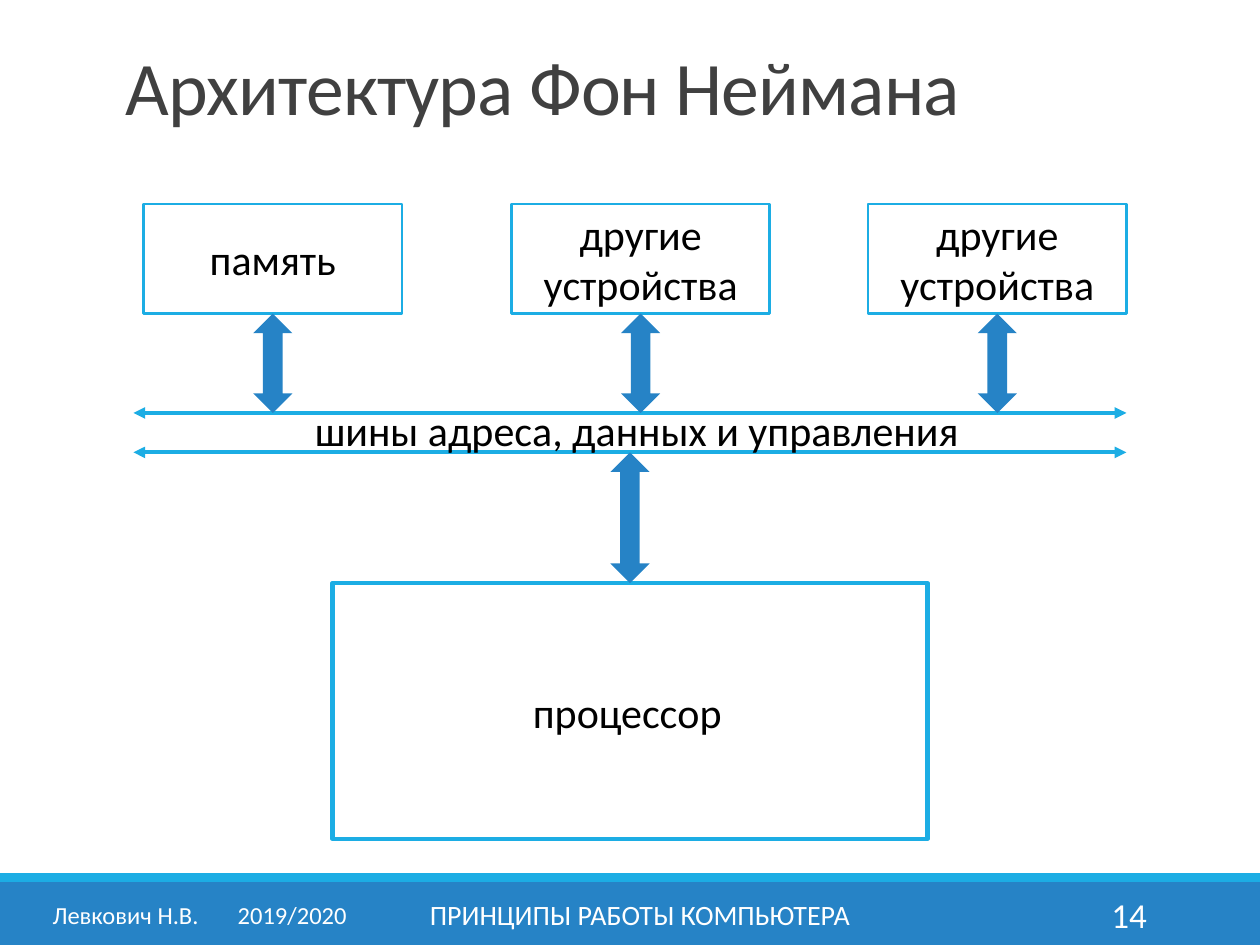
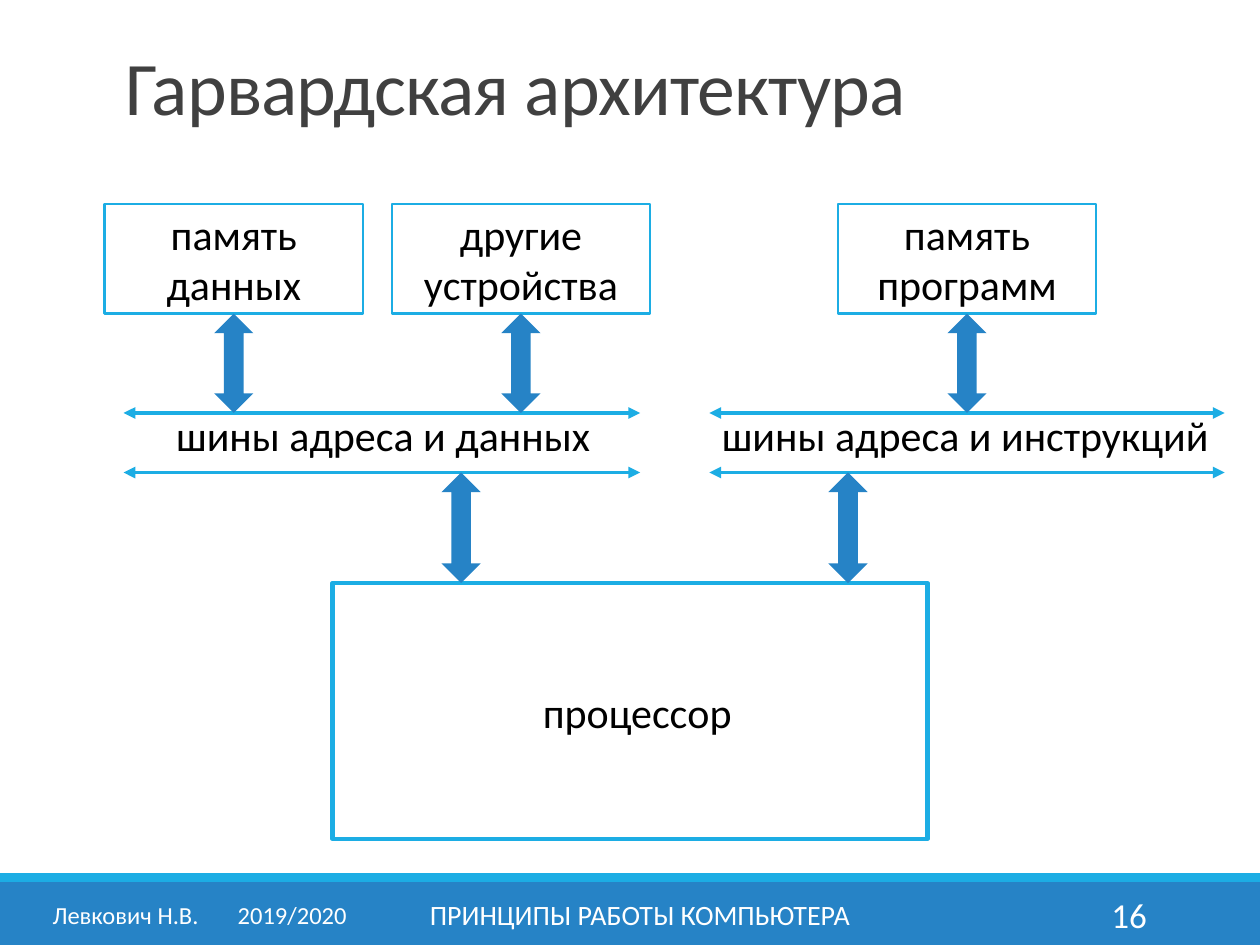
import pptx
import pptx.dml.color
import pptx.enum.shapes
import pptx.enum.text
import pptx.oxml
import pptx.oxml.ns
import pptx.util
from lxml import etree

Pt = pptx.util.Pt
RGBColor = pptx.dml.color.RGBColor
SHAPE = pptx.enum.shapes.MSO_SHAPE
ALIGN = pptx.enum.text.PP_ALIGN
ANCHOR = pptx.enum.text.MSO_ANCHOR
FIT = pptx.enum.text.MSO_AUTO_SIZE

# Colours
BLUE = RGBColor(0x26, 0x83, 0xC6)
CYAN = RGBColor(0x1C, 0xAD, 0xE4)
GREY = RGBColor(0x40, 0x40, 0x40)
BLACK = RGBColor(0, 0, 0)
WHITE = RGBColor(255, 255, 255)

# Text formats: size, colour, paragraph values, frame values
MIDDLE = {"word_wrap": True, "vertical_anchor": ANCHOR.MIDDLE}
LABEL_FRAME = {"word_wrap": False, "auto_size": FIT.SHAPE_TO_FIT_TEXT}
TITLE = (43.2, GREY, {"line_spacing": 0.75}, MIDDLE)
DEVICE = (24, BLACK, {"alignment": ALIGN.CENTER}, MIDDLE)
LABEL = (24, BLACK, {"alignment": ALIGN.LEFT}, LABEL_FRAME)
AUTHOR = (14, WHITE, {"alignment": ALIGN.LEFT}, MIDDLE)
COURSE = (16, WHITE, {"alignment": ALIGN.CENTER}, MIDDLE)
NUMBER = (20, WHITE, {"alignment": ALIGN.RIGHT}, MIDDLE)

# Diagram grid
DEVICE_TOP, DEVICE_WIDTH, DEVICE_HEIGHT = 116.6, 147.6, 62.6
ARROW_WIDTH = 22.4
BUS_TOP = 236
CPU_TOP = 333.2
FOOTER_TOP, FOOTER_HEIGHT = 508.3, 28.8

# Buses: left, right, label, label left, label width
# Processor arrows: centre of each
SLIDES = [
    {"title": "Архитектура Фон Неймана", "number": "14",
     "devices": [(82.1, "память"), (292.3, "другие устройства"),
                 (496.1, "другие устройства")],
     "bus_bottom": 258.5, "label_top": 227.5,
     "buses": [(76.3, 643.7, "шины адреса, данных и управления", 172.8, 386.6)],
     "cpu_arrows": [360], "cpu_label": 297.4},
    {"title": "Гарвардская архитектура", "number": "16",
     "devices": [(59.8, "память данных"), (223.9, "другие устройства"),
                 (478.8, "память программ")],
     "bus_bottom": 270, "label_top": 230.4,
     "buses": [(70.6, 365.8, "шины адреса и данных", 93.6, 253.4),
               (405.4, 699.8, "шины адреса и инструкций", 405.4, 295.9)],
     "cpu_arrows": [263.5, 484.6], "cpu_label": 303.1},
]


def write(box, text, style):
    size, colour, paragraph_values, frame_values = style
    frame = box.text_frame
    para = frame.paragraphs[0]
    span = para.add_run()
    span.text = text
    font_values = {"name": "Calibri", "size": Pt(size)}
    for target, values in ((frame, frame_values), (para, paragraph_values),
                           (span.font, font_values)):
        for name, value in values.items():
            setattr(target, name, value)
    span.font.color.rgb = colour
    return para


def add_block(page, kind, place, fill=None, line=None):
    block = page.shapes.add_shape(kind, *map(Pt, place))
    block.shadow.inherit = False
    if fill is None:
        block.fill.background()
    else:
        block.fill.solid()
        block.fill.fore_color.rgb = fill
    if line is None:
        block.line.fill.background()
    else:
        block.line.color.rgb = CYAN
        block.line.width = Pt(line)
    return block


deck = pptx.Presentation()
deck.slide_width, deck.slide_height = Pt(720), Pt(540)

for content in SLIDES:
    page = deck.slides.add_slide(deck.slide_layouts[6])
    bus_bottom = content["bus_bottom"]

    # Footer bands
    add_block(page, SHAPE.RECTANGLE, (0, 504, 720, 36), BLUE)
    add_block(page, SHAPE.RECTANGLE, (0, 499, 720, 5), CYAN)

    # Buses
    for left, right, *_ in content["buses"]:
        for height in (BUS_TOP, bus_bottom):
            bus = page.shapes.add_connector(
                pptx.enum.shapes.MSO_CONNECTOR.STRAIGHT,
                Pt(left), Pt(height), Pt(right), Pt(height))
            bus.line.color.rgb = CYAN
            bus.line.width = Pt(2.25)
            line = bus.line._get_or_add_ln()
            for end in ("a:headEnd", "a:tailEnd"):
                etree.SubElement(line, pptx.oxml.ns.qn(end), type="triangle")
            etree.SubElement(bus._element.spPr, pptx.oxml.ns.qn("a:effectLst"))

    # Devices and processor, with the arrows that join them to the buses
    arrows = [(center, bus_bottom, CPU_TOP) for center in content["cpu_arrows"]]
    for left, name in content["devices"]:
        device = add_block(page, SHAPE.RECTANGLE,
                           (left, DEVICE_TOP, DEVICE_WIDTH, DEVICE_HEIGHT), line=1.5)
        write(device, name, DEVICE)
        arrows.append((left + DEVICE_WIDTH / 2, DEVICE_TOP + DEVICE_HEIGHT, BUS_TOP))
    add_block(page, SHAPE.RECTANGLE, (190, CPU_TOP, 340, 146.2), line=2.5)
    for center, top, bottom in arrows:
        add_block(page, SHAPE.UP_DOWN_ARROW,
                  (center - ARROW_WIDTH / 2, top, ARROW_WIDTH, bottom - top), BLUE)

    # Title, labels and footer text
    texts = [
        (content["title"], (64.8, 31, 594, 46.8), TITLE),
        ("процессор", (content["cpu_label"], 388.8, 123.8, 36), LABEL),
        ("Левкович Н.В.\t2019/2020", (23, FOOTER_TOP, 188, FOOTER_HEIGHT), AUTHOR),
        ("ПРИНЦИПЫ РАБОТЫ КОМПЬЮТЕРА", (217.4, FOOTER_TOP, 296.6, FOOTER_HEIGHT), COURSE),
        (content["number"], (584.6, FOOTER_TOP, 77.8, FOOTER_HEIGHT), NUMBER),
    ]
    for _, _, label, left, width in content["buses"]:
        texts.append((label, (left, content["label_top"], width, 36), LABEL))
    for text, place, style in texts:
        box = page.shapes.add_textbox(*map(Pt, place))
        para = write(box, text, style)
        if style is TITLE:
            para.runs[0]._r.get_or_add_rPr().set("spc", "-50")
        if style is AUTHOR:
            stops = etree.SubElement(para._p.get_or_add_pPr(), pptx.oxml.ns.qn("a:tabLst"))
            etree.SubElement(stops, pptx.oxml.ns.qn("a:tab"), pos=str(Pt(105.8)), algn="l")

deck.save("out.pptx")
